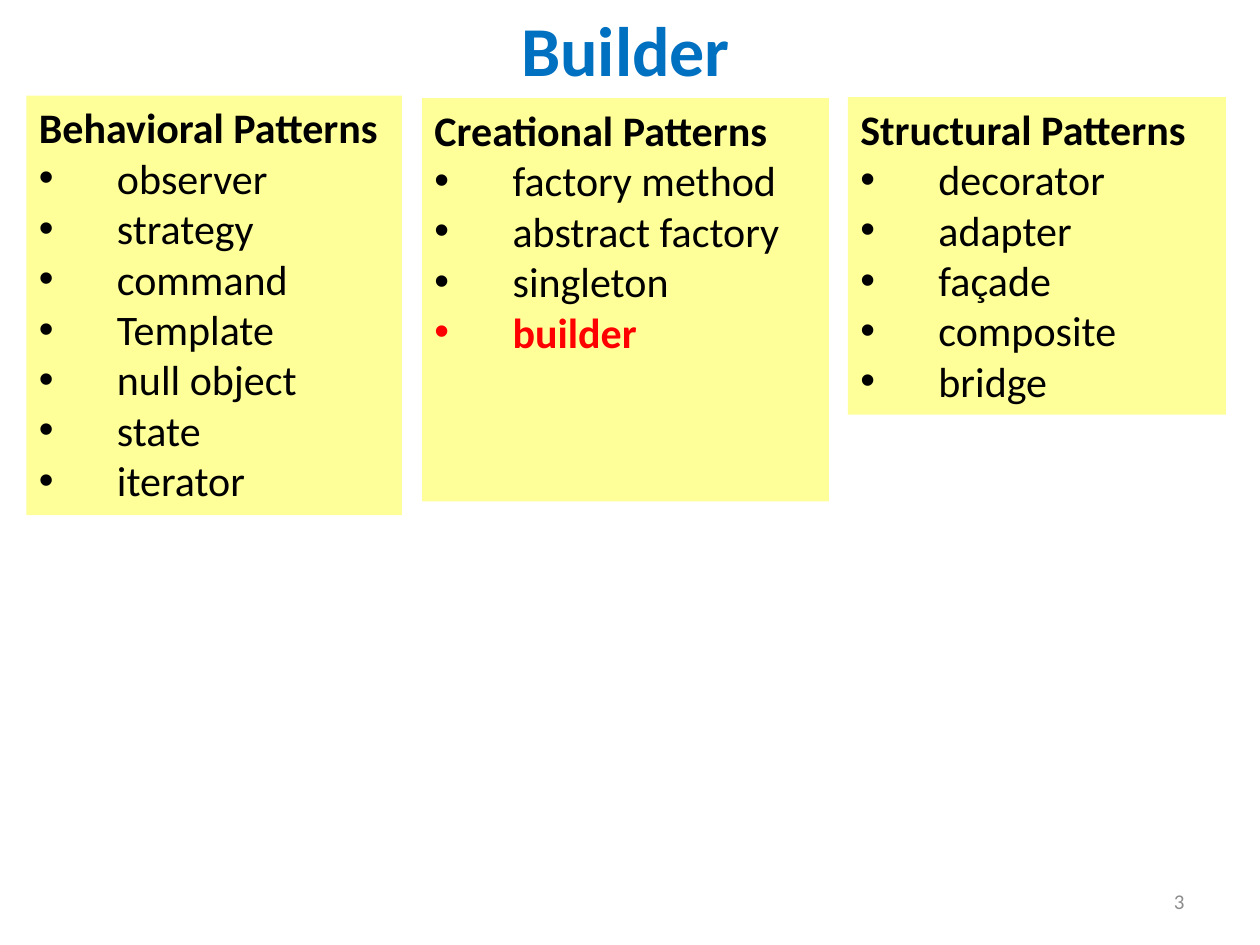
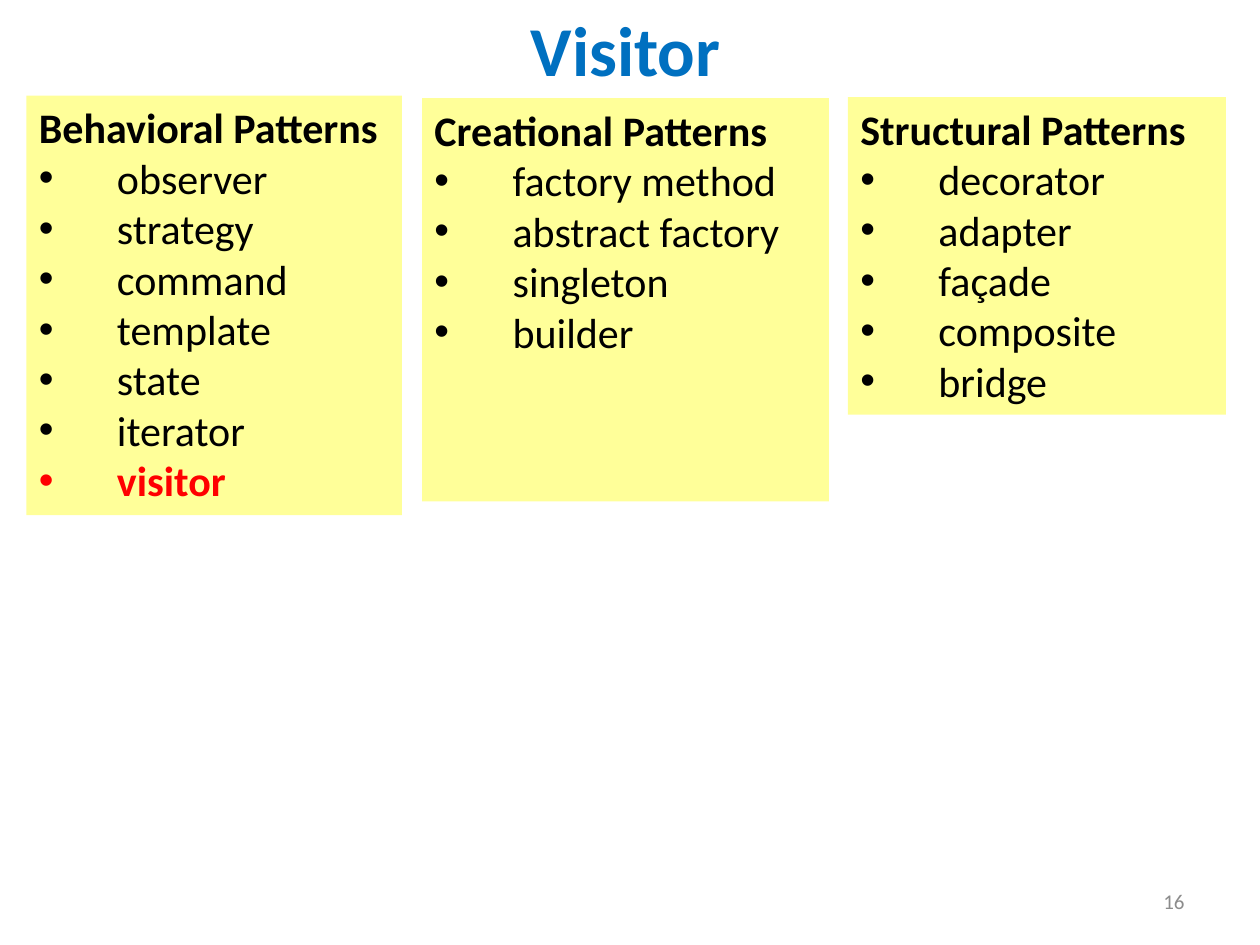
from dataclasses import dataclass
from lxml import etree
from pptx import Presentation
from pptx.dml.color import RGBColor
from pptx.enum.shapes import MSO_SHAPE
from pptx.enum.text import MSO_ANCHOR, MSO_AUTO_SIZE, PP_ALIGN
from pptx.oxml.ns import qn
from pptx.util import Inches, Pt

BLUE = RGBColor(0x00, 0x70, 0xC0)
YELLOW = RGBColor(0xFF, 0xFF, 0x99)
BLACK = RGBColor(0x00, 0x00, 0x00)
RED = RGBColor(0xFF, 0x00, 0x00)
GRAY = RGBColor(0x8C, 0x8C, 0x8C)
FONT = "Calibri"
INDENT = Inches(0.62)
RECT = MSO_SHAPE.RECTANGLE
LEFT, CENTER, RIGHT = PP_ALIGN.LEFT, PP_ALIGN.CENTER, PP_ALIGN.RIGHT
TOP, MIDDLE = MSO_ANCHOR.TOP, MSO_ANCHOR.MIDDLE
FIXED = MSO_AUTO_SIZE.NONE


@dataclass(frozen=True)
class Box:
    left: float
    top: float
    width: float
    height: float

    def lengths(self) -> tuple:
        return tuple(map(Inches, (self.left, self.top, self.width, self.height)))


@dataclass(frozen=True)
class Panel:
    box: Box
    head: str
    items: tuple[str, ...]


@dataclass(frozen=True)
class Page:
    title: str
    number: int
    active: str
    panels: tuple[Panel, ...]


TITLE = Box(3.35, 0, 3.23, 0.77)
NUMBER = Box(7.17, 6.95, 2.33, 0.4)


def behavior(*items: str) -> Panel:
    return Panel(Box(0.21, 0.76, 2.98, 3.33), "Behavioral Patterns", items)


CREATION = Panel(Box(3.35, 0.78, 3.23, 3.2), "Creational Patterns",
                 ("factory method", "abstract factory", "singleton", "builder"))
STRUCTURE = Panel(Box(6.73, 0.77, 3, 2.52), "Structural Patterns",
                  ("decorator", "adapter", "façade", "composite", "bridge"))

PAGES = (
    Page("Builder", 3, "builder",
         (behavior("observer", "strategy", "command", "Template",
                   "null object", "state", "iterator"), CREATION, STRUCTURE)),
    Page("Visitor", 16, "visitor",
         (behavior("observer", "strategy", "command", "template",
                   "state", "iterator", "visitor"), CREATION, STRUCTURE)),
)


def style(para, size: int, color: RGBColor, bold: bool, align=LEFT) -> None:
    para.alignment = align
    font = para.font
    font.name, font.size, font.bold = FONT, Pt(size), bold
    font.color.rgb = color


def set_frame(frame, anchor=TOP) -> None:
    frame.word_wrap = True
    frame.auto_size = FIXED
    frame.vertical_anchor = anchor


def add_bullet(para) -> None:
    props = para._p.get_or_add_pPr()
    props.set("marL", str(INDENT))
    props.set("indent", str(-INDENT))
    font = etree.Element(qn("a:buFont"), typeface="Arial")
    mark = etree.Element(qn("a:buChar"), char="•")
    props.insert(0, font)
    props.insert(1, mark)


def draw_title(slide, text: str) -> None:
    title = slide.shapes.title
    title.left, title.top, title.width, title.height = TITLE.lengths()
    title.text_frame.text = text
    set_frame(title.text_frame)
    style(title.text_frame.paragraphs[0], 40, BLUE, True, CENTER)


def draw_number(slide, number: int) -> None:
    frame = slide.shapes.add_textbox(*NUMBER.lengths()).text_frame
    frame.text = str(number)
    set_frame(frame, MIDDLE)
    style(frame.paragraphs[0], 12, GRAY, False, RIGHT)


def draw_panel(slide, panel: Panel, active: str) -> None:
    shape = slide.shapes.add_shape(RECT, *panel.box.lengths())
    shape.shadow.inherit = False
    shape.fill.solid()
    shape.fill.fore_color.rgb = YELLOW
    shape.line.fill.background()
    frame = shape.text_frame
    set_frame(frame)
    frame.text = panel.head
    style(frame.paragraphs[0], 24, BLACK, True)
    for item in panel.items:
        para = frame.add_paragraph()
        para.text = item
        chosen = item == active
        style(para, 24, RED if chosen else BLACK, chosen)
        add_bullet(para)


def draw_page(deck, page: Page) -> None:
    slide = deck.slides.add_slide(deck.slide_layouts.get_by_name("Title Only"))
    draw_number(slide, page.number)
    draw_title(slide, page.title)
    for panel in page.panels:
        draw_panel(slide, panel, page.active)


def main() -> None:
    deck = Presentation()
    deck.slide_width, deck.slide_height = Inches(10), Inches(7.5)
    for page in PAGES:
        draw_page(deck, page)
    deck.save("out.pptx")


main()
